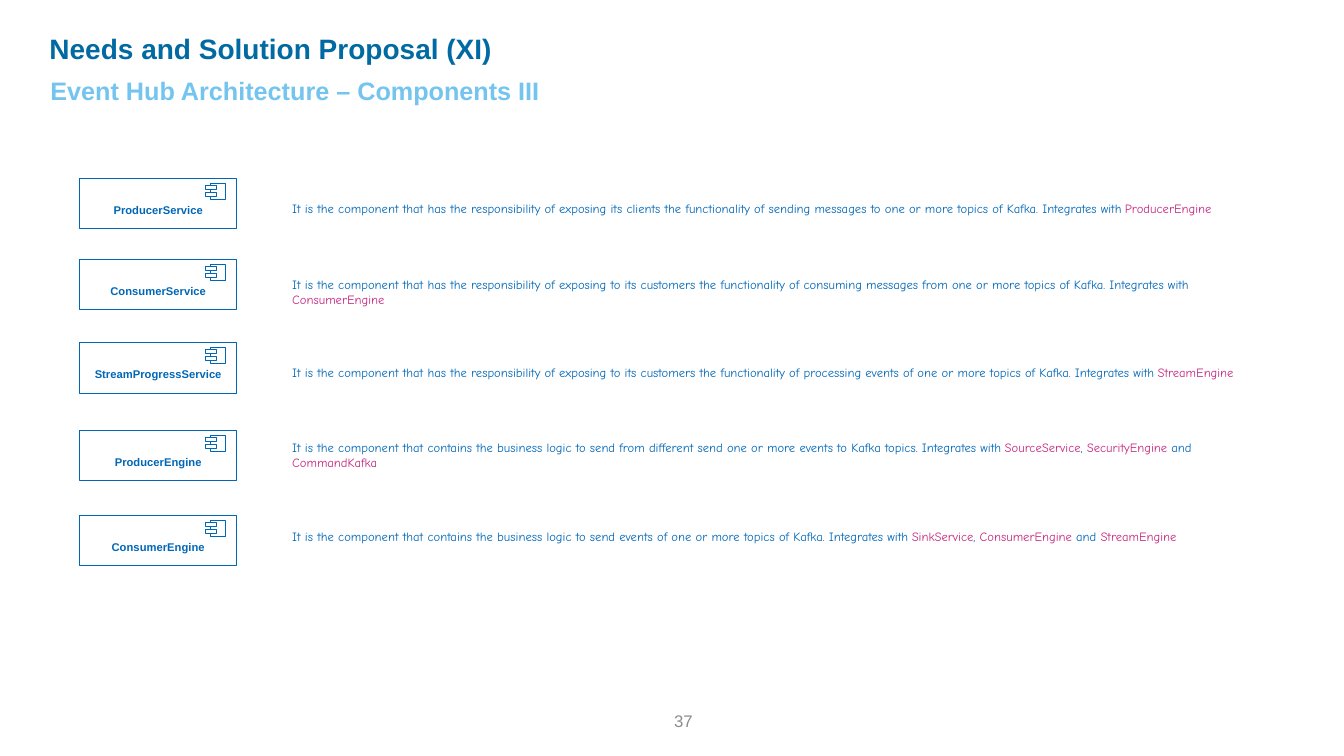
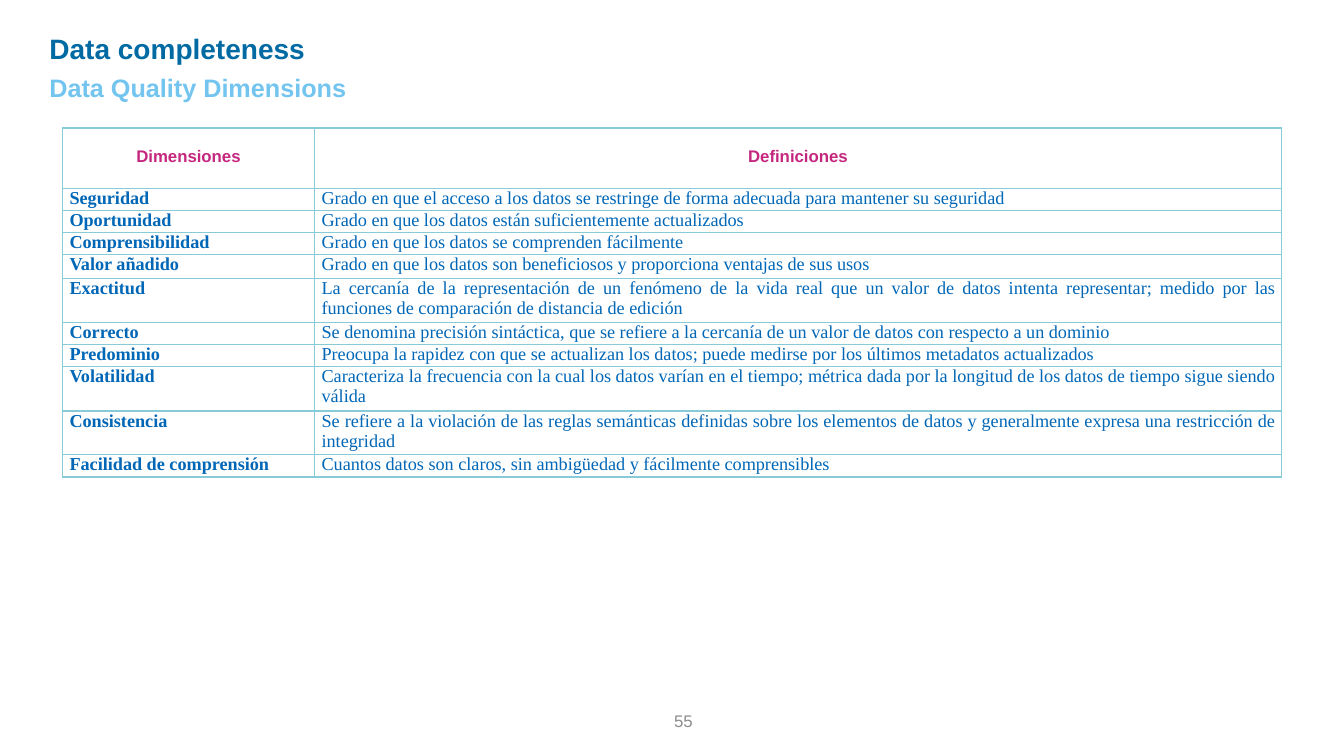
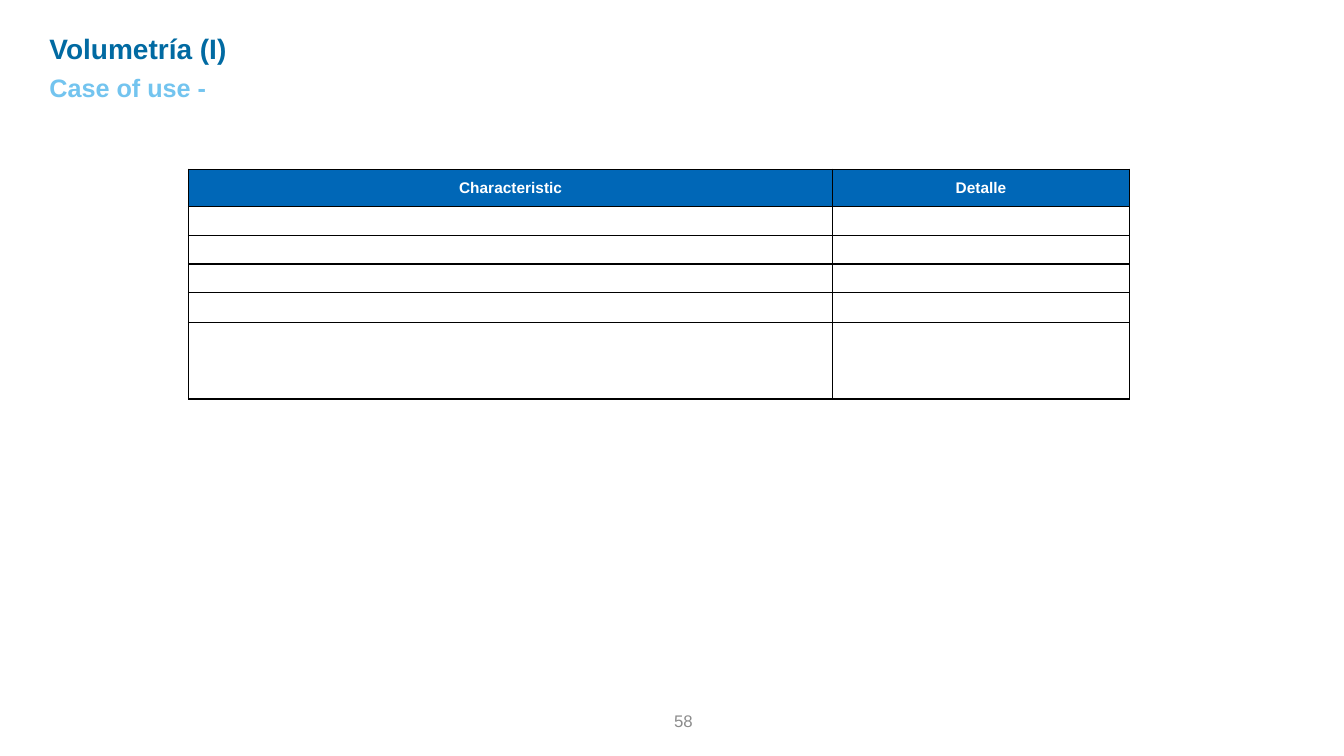
"""Build three slides: event hub components, data quality dimensions and volumetry."""
from dataclasses import dataclass

from lxml.etree import SubElement as Sub
from pptx import Presentation
from pptx.dml.color import RGBColor as RGB
from pptx.enum.shapes import MSO_SHAPE as Shape
from pptx.enum.text import MSO_ANCHOR as Anchor, PP_ALIGN as Align
from pptx.oxml.ns import qn
from pptx.util import Inches, Pt


@dataclass(frozen=True)
class Theme:
    navy: str = "016AA2"
    sky: str = "73C4EF"
    blue: str = "0067B7"
    pink: str = "C5277F"
    aqua: str = "87CBD8"
    gray: str = "8C8C8C"
    white: str = "FFFFFF"
    black: str = "000000"
    sans: str = "Arial"
    hand: str = "Comic Neue"
    serif: str = "Times New Roman"
    title: int = 20
    sub: int = 18
    page: int = 12
    head: int = 12
    cell: int = 13
    bar: int = 11
    note: int = 9
    tag: int = 8
    rule: float = 0.75
    edge: int = 1


T = Theme()


def write(para, text, size, color, bold=False, face=T.sans, align=Align.LEFT):
    """Fill a paragraph; every second part between bars is pink."""
    para.alignment = align
    font = para.font
    font.size, font.bold, font.name = Pt(size), bold, face
    font.color.rgb = RGB.from_string(color)
    for pos, part in enumerate(text.split("|")):
        if part:
            run = para.add_run()
            run.text = part
            if pos % 2:
                run.font.color.rgb = RGB.from_string(T.pink)


def grid(slide, left, top, cols, rows, color):
    """Add a table with plain cells and even borders."""
    area = [Inches(n) for n in (left, top, sum(cols), sum(rows))]
    table = slide.shapes.add_table(len(rows), len(cols), *area).table
    table.first_row = table.horz_banding = False
    for col, width in zip(table.columns, cols):
        col.width = Inches(width)
    for row, height in zip(table.rows, rows):
        row.height = Inches(height)
    for cell in table.iter_cells():
        cell.margin_left = cell.margin_right = 0
        cell.margin_top = cell.margin_bottom = 0
        props = cell._tc.get_or_add_tcPr()
        for side in ("a:lnL", "a:lnR", "a:lnT", "a:lnB"):
            line = Sub(props, qn(side), w=str(Pt(T.edge)))
            Sub(Sub(line, qn("a:solidFill")), qn("a:srgbClr"), val=color)
        cell.fill.background()
    return table


deck = Presentation()
deck.slide_width, deck.slide_height = Inches(13.33), Inches(7.5)

heads = [
    ("Needs and Solution Proposal (XI)", "Event Hub Architecture – Components III", 0.45, 0.7, "37"),
    ("Data completeness", "Data Quality Dimensions", 0.44, 0.67, "55"),
    ("Volumetría (I)", "Case of use -", 0.44, 0.67, "58"),
]
for title, sub, left, top, page in heads:
    slide = deck.slides.add_slide(deck.slide_layouts[6])
    for text, area, size, color, bold, align, anchor, pad in [
        (page, (3.34, 6.95, 3.63, 0.4), T.page, T.gray, False, Align.RIGHT, Anchor.MIDDLE, 0.1),
        (title, (0.44, 0.26, 8.3, 0.44), T.title, T.navy, True, Align.LEFT, Anchor.TOP, 0.05),
        (sub, (left, top, 6.23, 0.4), T.sub, T.sky, True, Align.LEFT, Anchor.TOP, 0.05),
    ]:
        frame = slide.shapes.add_textbox(*[Inches(n) for n in area]).text_frame
        frame.word_wrap, frame.vertical_anchor = True, anchor
        frame.margin_left = frame.margin_right = Inches(pad)
        frame.margin_top = frame.margin_bottom = Inches(0.05)
        write(frame.paragraphs[0], text, size, color, bold, align=align)

hub, data, volume = deck.slides

parts = [
    ("ProducerService", 1.77, 1.78,
     "It is the component that has the responsibility of exposing its clients the functionality of "
     "sending messages to one or more topics of Kafka. Integrates with |ProducerEngine"),
    ("ConsumerService", 2.57, 2.61,
     "It is the component that has the responsibility of exposing to its customers the functionality of "
     "consuming messages from one or more topics of Kafka. Integrates with |ConsumerEngine"),
    ("StreamProgressService", 3.4, 3.41,
     "It is the component that has the responsibility of exposing to its customers the functionality of "
     "processing events of one or more topics of Kafka. Integrates with |StreamEngine"),
    ("ProducerEngine", 4.27, 4.23,
     "It is the component that contains the business logic to send from different send one or more events "
     "to Kafka topics. Integrates with |SourceService|, |SecurityEngine| and |CommandKafka"),
    ("ConsumerEngine", 5.11, 5.04,
     "It is the component that contains the business logic to send events of one or more topics of Kafka. "
     "Integrates with |SinkService|, |ConsumerEngine| and |StreamEngine"),
]
for name, top, level, note in parts:
    group = hub.shapes.add_group_shape()
    for left, drop, width, height, text in [
        (0.79, 0, 1.56, 0.5, name),
        (2.09, 0.05, 0.15, 0.16, ""),
        (2.04, 0.14, 0.11, 0.04, ""),
        (2.04, 0.07, 0.11, 0.04, ""),
    ]:
        area = [Inches(n) for n in (left, top + drop, width, height)]
        box = group.shapes.add_shape(Shape.RECTANGLE, *area)
        box.shadow.inherit = False
        box.fill.solid()
        box.fill.fore_color.rgb = RGB.from_string(T.white)
        box.line.color.rgb = RGB.from_string(T.blue)
        box.line.width = Pt(T.rule)
        if text:
            frame = box.text_frame
            frame.vertical_anchor = Anchor.MIDDLE
            frame.margin_top, frame.margin_bottom = Inches(0.13), 0
            write(frame.paragraphs[0], text, T.tag, T.blue, True, align=Align.CENTER)
    area = [Inches(n) for n in (2.8, level, 9.9, 0.57)]
    frame = hub.shapes.add_textbox(*area).text_frame
    frame.word_wrap, frame.vertical_anchor = True, Anchor.MIDDLE
    frame.margin_top = frame.margin_bottom = Inches(0.1)
    write(frame.paragraphs[0], note, T.note, T.blue, face=T.hand)

terms = [
    ("Seguridad", "Grado en que el acceso a los datos se restringe de forma adecuada para mantener su seguridad"),
    ("Oportunidad", "Grado en que los datos están suficientemente actualizados"),
    ("Comprensibilidad", "Grado en que los datos se comprenden fácilmente"),
    ("Valor añadido", "Grado en que los datos son beneficiosos y proporciona ventajas de sus usos"),
    ("Exactitud", "La cercanía de la representación de un fenómeno de la vida real que un valor de datos "
     "intenta representar; medido por las funciones de comparación de distancia de edición"),
    ("Correcto", "Se denomina precisión sintáctica, que se refiere a la cercanía de un valor de datos "
     "con respecto a un dominio"),
    ("Predominio", "Preocupa la rapidez con que se actualizan los datos; puede medirse por los últimos "
     "metadatos actualizados"),
    ("Volatilidad", "Caracteriza la frecuencia con la cual los datos varían en el tiempo; métrica dada por "
     "la longitud de los datos de tiempo sigue siendo válida"),
    ("Consistencia", "Se refiere a la violación de las reglas semánticas definidas sobre los elementos de "
     "datos y generalmente expresa una restricción de integridad"),
    ("Facilidad de comprensión", "Cuantos datos son claros, sin ambigüedad y fácilmente comprensibles"),
]
rows = [0.6, 0.21, 0.22, 0.22, 0.24, 0.43, 0.22, 0.21, 0.44, 0.43, 0.22]
table = grid(data, 0.62, 1.27, [2.5, 9.59], rows, T.aqua)
for col, text in enumerate(["Dimensiones", "Definiciones"]):
    cell = table.cell(0, col)
    cell.margin_top = Inches(0.19)
    write(cell.text_frame.paragraphs[0], text, T.head, T.pink, True, align=Align.CENTER)
for row, term in enumerate(terms, 1):
    for col, text in enumerate(term):
        cell = table.cell(row, col)
        cell.margin_left = cell.margin_right = Inches(0.07)
        write(cell.text_frame.paragraphs[0], text, T.cell, T.blue, col == 0, T.serif, Align.JUSTIFY)

rows = [0.37, 0.29, 0.28, 0.28, 0.3, 0.76]
table = grid(volume, 1.87, 1.68, [6.39, 2.94], rows, T.black)
for cell in table.iter_cells():
    cell.text_frame.paragraphs[0].font.size = Pt(T.bar)
for col, text in enumerate(["Characteristic", "Detalle"]):
    cell = table.cell(0, col)
    cell.vertical_anchor = Anchor.MIDDLE
    cell.fill.solid()
    cell.fill.fore_color.rgb = RGB.from_string(T.blue)
    write(cell.text_frame.paragraphs[0], text, T.bar, T.white, True, align=Align.CENTER)

deck.save("out.pptx")
